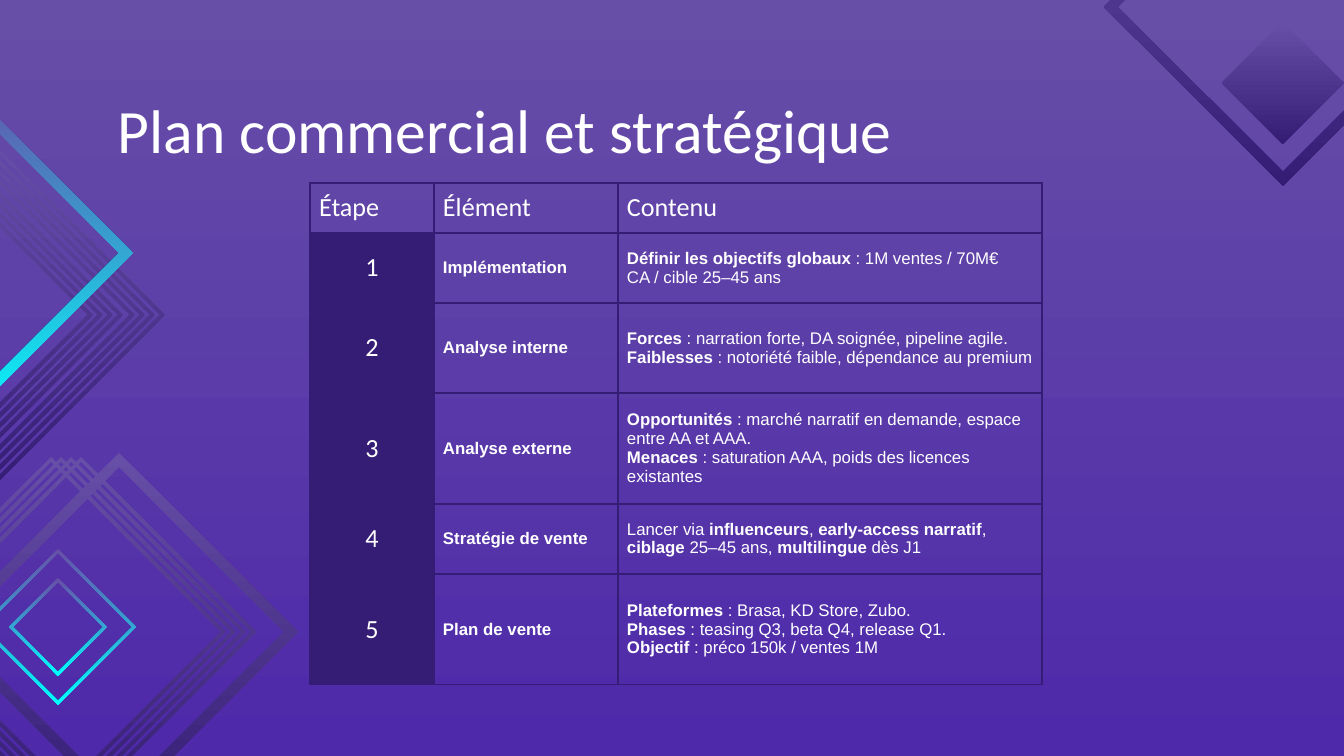
from lxml import etree
from pptx import Presentation
from pptx import util as u
from pptx.dml.color import RGBColor
from pptx.enum import text
from pptx.oxml.ns import qn

TITLE = "Plan commercial et stratégique"
HEADER = ["Étape", "Élément", "Contenu"]
STEPS = [
    ("Implémentation", ["**Définir les objectifs globaux **: 1M ventes / 70M€ CA / cible 25–45 ans"]),
    ("Analyse interne", ["**Forces** : narration forte, DA soignée, pipeline agile. "
                         "**Faiblesses** : notoriété faible, dépendance au premium"]),
    ("Analyse externe", ["**Opportunités** : marché narratif en demande, espace entre AA et AAA.",
                         "**Menaces** : saturation AAA, poids des licences existantes"]),
    ("Stratégie de vente", ["Lancer via **influenceurs**, **early-access narratif**, "
                            "**ciblage** 25–45 ans, **multilingue** dès J1"]),
    ("Plan de vente", ["**Plateformes** : Brasa, KD Store, Zubo.",
                       "**Phases** : teasing Q3, beta Q4, release Q1.",
                       "**Objectif** : préco 150k / ventes 1M"]),
]
COLS = [124, 184, 424]
ROWS = [50, 70, 90, 111, 70, 111]
TABLE_AT = (310, 183)
TITLE_BOX = {"left": 105, "top": 79, "width": 1134, "height": 85}

THEME = {
    "deep": "4E29AA", "violet": "674EA7", "dark": "351C75", "cyan": "00FFFF", "white": "FFFFFF",
    "title": {"name": "Calibri", "size": u.Pt(33), "bold": False},
    "label": {"name": "Calibri", "size": u.Pt(14), "bold": False},
    "body": {"name": "Arial", "size": u.Pt(9)},
}

THIN = (175, 170)
THICK = (179, 165)
DIAMONDS = [
    *[(51 + 10 * i, 632, *THIN, "dark") for i in range(4)],
    (119, 632, *THICK, "dark"),
    (58, 627, 78, 74, "cyan"),
    (58, 627, 49, 45, "cyan"),
    *[(x + 10 * i, 315, *THIN, "dark") for x in (-40, -82) for i in range(4)],
    (-46, 253, *THICK, "cyan"),
    (1283, 83, 61, 0, "dark"),
    (1283, 7, *THICK, "dark"),
]

SCALE = u.Inches(10) / 1344


def px(n):
    return u.Emu(round(n * SCALE))


def rgb(key):
    return RGBColor.from_string(THEME[key])


def set_attrs(obj, values):
    for name, value in values.items():
        setattr(obj, name, value)


def set_gradient(fill, start, end, angle):
    fill.gradient()
    fill.gradient_angle = angle
    for stop, key in zip(fill.gradient_stops, (start, end)):
        stop.color.rgb = rgb(key)


def add_diamond(s, cx, cy, outer, inner, end):
    def corners(r, turn):
        return [(cx, cy - r), (cx + turn * r, cy), (cx, cy + r), (cx - turn * r, cy)]

    first, *rest = corners(outer, 1)
    builder = s.shapes.build_freeform(*first, scale=SCALE)
    builder.add_line_segments(rest)
    if inner:
        first, *rest = corners(inner, -1)
        builder.move_to(*first)
        builder.add_line_segments(rest)
    sp = builder.convert_to_shape()
    sp.shadow.inherit = False
    sp.line.fill.background()
    set_gradient(sp.fill, "violet", end, 270)


def add_run(p, words, style, **extra):
    r = p.add_run()
    r.text = words
    set_attrs(r.font, {**THEME[style], **extra})
    r.font.color.rgb = rgb("white")


def set_borders(cell):
    tc_pr = cell._tc.get_or_add_tcPr()
    for side in ("lnL", "lnR", "lnT", "lnB"):
        ln = etree.SubElement(tc_pr, qn(f"a:{side}"), w=str(u.Pt(1)))
        fill = etree.SubElement(ln, qn("a:solidFill"))
        etree.SubElement(fill, qn("a:srgbClr"), val=THEME["dark"])


def fill_cell(cell, lines, style, align=text.PP_ALIGN.LEFT, fill=None):
    set_attrs(cell, {"margin_left": px(9), "margin_right": px(9), "margin_top": px(5),
                     "margin_bottom": px(5), "vertical_anchor": text.MSO_ANCHOR.MIDDLE})
    set_borders(cell)
    if fill:
        cell.fill.solid()
        cell.fill.fore_color.rgb = rgb(fill)
    else:
        cell.fill.background()
    tf = cell.text_frame
    for i, line in enumerate(lines):
        p = tf.add_paragraph() if i else tf.paragraphs[0]
        p.alignment = align
        for j, words in enumerate(line.split("**")):
            if words:
                add_run(p, words, style, bold=j % 2 == 1)


def add_title(s):
    sp = s.shapes.title
    set_attrs(sp, {name: px(n) for name, n in TITLE_BOX.items()})
    tf = sp.text_frame
    set_attrs(tf, {"margin_left": px(13), "margin_right": px(13), "margin_top": px(13),
                   "margin_bottom": px(13), "word_wrap": True,
                   "auto_size": text.MSO_AUTO_SIZE.NONE, "vertical_anchor": text.MSO_ANCHOR.TOP})
    p = tf.paragraphs[0]
    p.alignment = text.PP_ALIGN.LEFT
    add_run(p, TITLE, "title")


def add_plan(s):
    box = (*TABLE_AT, sum(COLS), sum(ROWS))
    table = s.shapes.add_table(len(ROWS), len(COLS), *map(px, box)).table
    set_attrs(table, {"first_row": False, "horz_banding": False})
    for col, width in zip(table.columns, COLS):
        col.width = px(width)
    for row, height in zip(table.rows, ROWS):
        row.height = px(height)
    for c, name in enumerate(HEADER):
        fill_cell(table.cell(0, c), [name], "label")
    for n, (element, content) in enumerate(STEPS, 1):
        fill_cell(table.cell(n, 0), [str(n)], "label", text.PP_ALIGN.CENTER, "dark")
        fill_cell(table.cell(n, 1), [f"**{element}**"], "body")
        fill_cell(table.cell(n, 2), content, "body")


def main():
    prs = Presentation()
    set_attrs(prs, {"slide_width": px(1344), "slide_height": px(756)})
    s = prs.slides.add_slide(prs.slide_layouts[5])
    set_gradient(s.background.fill, "deep", "violet", 90)
    for diamond in DIAMONDS:
        add_diamond(s, *diamond)
    add_title(s)
    add_plan(s)
    prs.save("out.pptx")


if __name__ == "__main__":
    main()
